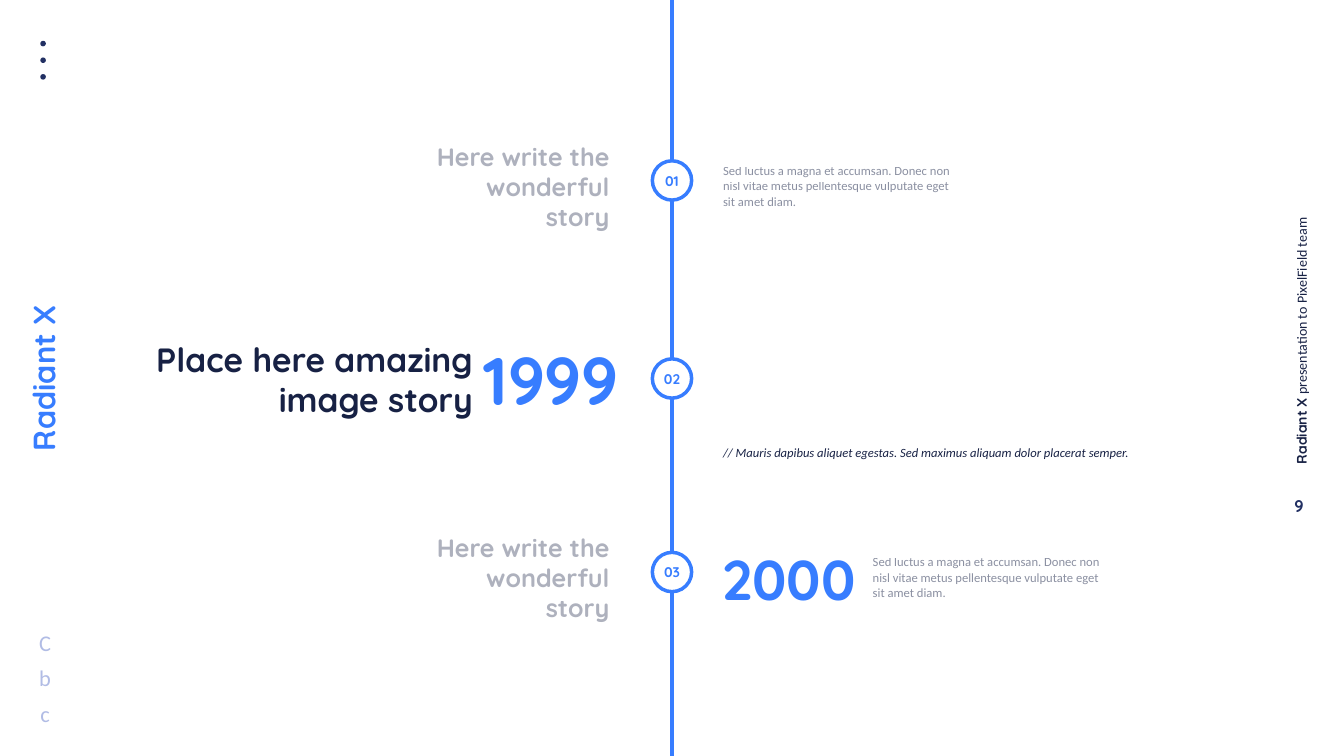
from dataclasses import dataclass

from lxml import etree
from pptx import Presentation
from pptx import util as u
from pptx.dml.color import RGBColor
from pptx.enum import shapes, text
from pptx.oxml.ns import qn

COLS, ROWS = 26.67, 15  # one grid cell is one inch square
LEFT, CENTER, RIGHT = text.PP_ALIGN.LEFT, text.PP_ALIGN.CENTER, text.PP_ALIGN.RIGHT


@dataclass(frozen=True)
class Theme:
    ink: str = "172144"
    navy: str = "223063"
    accent: str = "377DFF"
    pale: str = "B1BCE5"
    white: str = "FFFFFF"
    heading: str = "Quicksand"
    body: str = "Calibri"
    small: int = 18
    label: int = 20
    page: int = 24
    icon: int = 32
    title: int = 36
    brand: int = 44
    lead: int = 48
    year: int = 80
    big_year: int = 96
    stroke: int = 5


class Deck:
    def __init__(self, theme):
        self.theme = theme
        self.prs = Presentation()
        self.prs.slide_width = u.Inches(COLS)
        self.prs.slide_height = u.Inches(ROWS)
        self.s = self.prs.slides.add_slide(self.prs.slide_layouts[6])

    def cells(self, *lengths):
        return [u.Inches(n) for n in lengths]

    def run(self, p, words, size, color, font=None, alpha=None, **style):
        """Add a run; alpha is its opacity in percent."""
        r = p.add_run()
        r.text = words
        style = {"name": font or self.theme.heading, "size": u.Pt(size), **style}
        for name, value in style.items():
            setattr(r.font, name, value)
        r.font.color.rgb = RGBColor.from_string(color)
        if alpha:
            rgb = r._r.find(".//" + qn("a:srgbClr"))
            etree.SubElement(rgb, qn("a:alpha")).set("val", str(alpha * 1000))

    def text(self, box, runs, align=LEFT, middle=False, wrap=True, grow=True,
             turn=0, inset=None):
        sp = self.s.shapes.add_textbox(*self.cells(*box))
        sp.rotation = turn
        tf = sp.text_frame
        anchor, fit = text.MSO_ANCHOR, text.MSO_AUTO_SIZE
        frame = {"word_wrap": wrap,
                 "auto_size": fit.SHAPE_TO_FIT_TEXT if grow else fit.NONE,
                 "vertical_anchor": anchor.MIDDLE if middle else anchor.TOP}
        if inset:
            x, y = self.cells(*inset)
            frame.update(margin_left=x, margin_right=x, margin_top=y, margin_bottom=y)
        for name, value in frame.items():
            setattr(tf, name, value)
        p = tf.paragraphs[0]
        p.alignment = align
        for values in runs:
            self.run(p, **values)

    def circle(self, left, top, size, fill, line=None, label=None):
        sp = self.s.shapes.add_shape(shapes.MSO_SHAPE.OVAL,
                                     *self.cells(left, top, size, size))
        sp.shadow.inherit = False
        sp.fill.solid()
        sp.fill.fore_color.rgb = RGBColor.from_string(fill)
        if line:
            sp.line.color.rgb = RGBColor.from_string(line)
            sp.line.width = u.Pt(self.theme.stroke)
        else:
            sp.line.fill.background()
        if label:
            tf = sp.text_frame
            tf.vertical_anchor = text.MSO_ANCHOR.MIDDLE
            tf.word_wrap = False
            p = tf.paragraphs[0]
            p.alignment = CENTER
            self.run(p, label, self.theme.label, line, bold=True)

    def line(self, x1, y1, x2, y2, color):
        c = self.s.shapes.add_connector(shapes.MSO_CONNECTOR.STRAIGHT,
                                        *self.cells(x1, y1, x2, y2))
        c.line.color.rgb = RGBColor.from_string(color)
        c.line.width = u.Pt(self.theme.stroke)
        etree.SubElement(c._element.spPr, qn("a:effectLst"))


def add_margins(d):
    t = d.theme
    name = "Radiant X"
    side = dict(size=t.label, color=t.ink)
    d.text((23.18, 6.45, 5.28, 0.44),
           [dict(words=name, bold=True, **side),
            dict(words=" presentation to PixelField team", font=t.body, **side)],
           middle=True, wrap=False, turn=270)
    d.text((-1.54, 7.08, 4.8, 0.84),
           [dict(words=name, size=t.brand, color=t.accent, bold=True)],
           align=CENTER, turn=270)
    for i in range(3):
        d.circle(0.8, 0.81 + 0.33 * i, 0.11, t.navy)
    d.text((25.6, 9.71, 0.35, 0.64),
           [dict(words="9", size=t.page, color=t.navy, bold=True)],
           align=CENTER, middle=True, wrap=False, grow=False, inset=(0.13, 0.07))
    for i, letter in enumerate("Cbc"):
        d.text((0.57, 12.43 + 0.7 * i, 0.65, 0.64),
               [dict(words=letter, size=t.icon, color=t.pale, font=t.body)],
               align=CENTER, middle=True, wrap=False)


def add_timeline(d):
    t = d.theme
    axis, size = COLS / 2, 0.78
    d.line(axis, 0, axis, ROWS, t.accent)
    for i, top in enumerate((3.19, 7.12, 10.96), 1):
        d.circle(axis - size / 2, top, size, t.white, t.accent, f"{i:02}")


def add_stories(d):
    t = d.theme
    for title_top, note_left, note_top in ((3.04, 14.25, 3.19), (10.8, 17.22, 10.95)):
        d.text((8.27, title_top, 3.92, 1.31),
               [dict(words="Here write the wonderful story", size=t.title,
                     color=t.ink, alpha=34, bold=True)],
               align=RIGHT, middle=True)
        d.text((note_left, note_top, 4.89, 1.01),
               [dict(words="Sed luctus a magna et accumsan. Donec non nisl vitae metus "
                           "pellentesque vulputate eget sit amet diam.",
                     size=t.small, color=t.ink, font=t.body, alpha=50)])
    d.text((1.87, 6.66, 7.61, 1.72),
           [dict(words="Place here amazing image story", size=t.lead,
                 color=t.ink, bold=True)],
           align=RIGHT, middle=True)
    d.text((14.25, 8.77, 9.2, 0.4),
           [dict(words="// Mauris dapibus aliquet egestas. Sed maximus aliquam "
                       "dolor placerat semper.",
                 size=t.small, color=t.ink, font=t.body, italic=True)])
    for year, type_size, box in (("1999", t.big_year, (9.5, 6.66, 3.34, 1.72)),
                                 ("2000", t.year, (14.24, 10.74, 2.99, 1.45))):
        d.text(box, [dict(words=year, size=type_size, color=t.accent, bold=True)],
               middle=True)


def main():
    d = Deck(Theme())
    add_margins(d)
    add_timeline(d)
    add_stories(d)
    d.prs.save("out.pptx")


if __name__ == "__main__":
    main()
